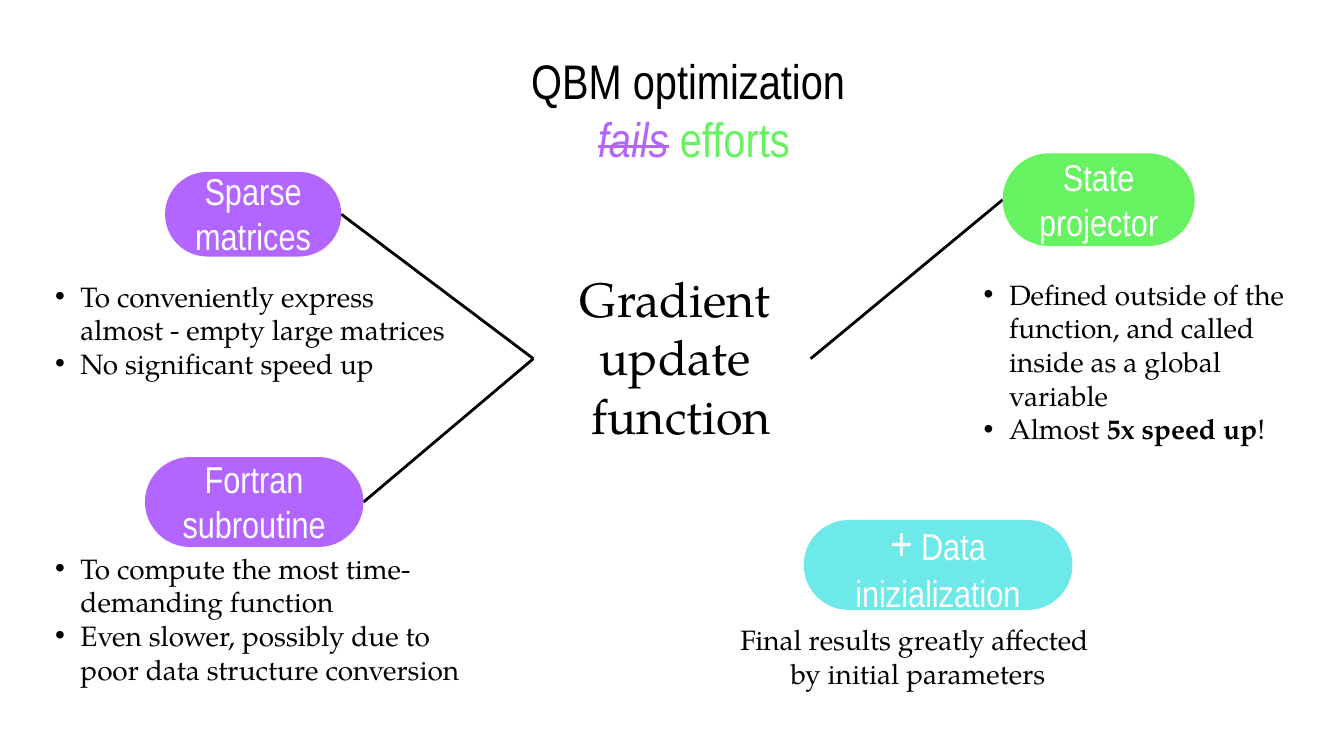
"""Build the mind-map slide on QBM optimization efforts."""
from typing import NamedTuple

from lxml.etree import SubElement as Sub
from pptx import Presentation as Deck
from pptx.dml.color import RGBColor as Rgb
from pptx.enum.shapes import MSO_CONNECTOR as Link, MSO_SHAPE as Kind
from pptx.enum.text import MSO_ANCHOR as Anchor, MSO_AUTO_SIZE as Fit, PP_ALIGN as Align
from pptx.oxml.ns import qn
from pptx.util import Cm, Pt

SERIF, SANS = "TeX Gyre Pagella", "Arial Narrow"
BLACK, WHITE, PURPLE, GREEN, CYAN = "000000", "FFFFFF", "B366FF", "66F261", "6DE9E9"


class Run(NamedTuple):
    words: str
    color: str = ""
    size: int = 0
    bold: bool = False
    slant: bool = False
    strike: bool = False


class Box(NamedTuple):
    left: float
    top: float
    width: float
    height: float

    @property
    def mid(self) -> float:
        return self.top + self.height / 2

    @property
    def right(self) -> float:
        return self.left + self.width


class Pill(NamedTuple):
    box: Box
    fill: str
    paras: list


class Note(NamedTuple):
    box: Box
    paras: list
    dots: bool = True


def tint(part, color: str) -> None:
    part.rgb = Rgb.from_string(color)


def place(shape, box: Box) -> None:
    shape.left, shape.top, shape.width, shape.height = map(Cm, box)


def mark(props, dots: bool) -> None:
    """Set the indent and the bullet of a paragraph."""
    props.set("marL", str(Cm(0.48) if dots else 0))
    props.set("indent", str(Cm(-0.48) if dots else 0))
    if not dots:
        Sub(props, qn("a:buNone"))
        return
    Sub(Sub(props, qn("a:buClr")), qn("a:srgbClr"), val=BLACK)
    Sub(props, qn("a:buFont"), typeface="Arial")
    Sub(props, qn("a:buChar"), char="•")


def write(shape, paras: list, *, font: str, size: int, color: str = BLACK,
          dots: bool = False, foot: float = 0.25) -> None:
    """Fill a shape with paragraphs, each a list of runs."""
    frame = shape.text_frame
    frame.word_wrap, frame.auto_size = True, Fit.NONE
    frame.vertical_anchor = Anchor.MIDDLE
    frame.margin_left = frame.margin_right = frame.margin_top = Cm(0.25)
    frame.margin_bottom = Cm(foot)
    for row, runs in enumerate(paras):
        para = frame.add_paragraph() if row else frame.paragraphs[0]
        para.alignment = Align.LEFT if dots else Align.CENTER
        para.space_before = Pt(0)
        mark(para._p.get_or_add_pPr(), dots)
        for item in runs:
            for turn, words in enumerate(item.words.split("\n")):
                if turn:
                    para.add_line_break()
                if not words:
                    continue
                run = para.add_run()
                run.text = words
                run.font.name, run.font.size = font, Pt(item.size or size)
                run.font.bold, run.font.italic = item.bold, item.slant
                tint(run.font.color, item.color or color)
                if item.strike:
                    run._r.get_or_add_rPr().set("strike", "sngStrike")


def draw_line(slide, start: tuple, end: tuple) -> None:
    line = slide.shapes.add_connector(Link.STRAIGHT, *map(Cm, start + end))
    line.line.width = Pt(1.5)
    tint(line.line.color, BLACK)
    Sub(line._element.spPr, qn("a:effectLst"))


def draw_pill(slide, pill: Pill) -> None:
    shape = slide.shapes.add_shape(Kind.ROUNDED_RECTANGLE, *map(Cm, pill.box))
    shape.adjustments[0] = 0.5
    shape.shadow.inherit = False
    shape.fill.solid()
    tint(shape.fill.fore_color, pill.fill)
    shape.line.fill.background()
    write(shape, pill.paras, font=SANS, size=20, color=WHITE, foot=0.28)


SPARSE = Pill(Box(3.12, 3.25, 3.33, 1.6), PURPLE, [[Run("Sparse matrices")]])
STATE = Pill(Box(18.95, 2.9, 3.63, 1.75), GREEN, [[Run("State projector")]])
FORTRAN = Pill(Box(2.74, 8.64, 4.13, 1.7), PURPLE, [[Run("Fortran")], [Run("subroutine")]])
DATA = Pill(Box(15.19, 9.83, 5.08, 1.7), CYAN,
            [[Run("+", size=25), Run(" Data inizialization")]])

NOTES = [
    Note(Box(0.79, 5.28, 8.18, 1.9), [
        [Run("To conveniently express\nalmost - empty large matrices")],
        [Run("No significant speed up")]]),
    Note(Box(18.34, 5.28, 6.73, 3.1), [
        [Run("Defined outside of the function, and called inside as a global variable")],
        [Run("Almost "), Run("5x speed up", bold=True), Run("!")]]),
    Note(Box(0.79, 10.74, 8.61, 1.9), [
        [Run("To compute the most time-demanding function")],
        [Run("Even slower, possibly due to poor data structure conversion")]]),
    Note(Box(13.26, 11.51, 8.18, 1.8), [
        [Run("Final results greatly affected ")],
        [Run("by initial parameters")]], dots=False),
]

HEAD = [[Run("QBM optimization \n"), Run("fails", PURPLE, slant=True, strike=True),
         Run(" "), Run("efforts", GREEN)]]


def main() -> None:
    deck = Deck()
    deck.slide_width, deck.slide_height = Cm(25.4), Cm(14.29)
    slide = deck.slides.add_slide(deck.slide_layouts.get_by_name("Comparison"))

    hub = slide.shapes.title
    place(hub, Box(8.79, 5.94, 8.18, 1.6))
    write(hub, [[Run("Gradient \nupdate \nfunction")]], font=SERIF, size=26)

    bodies = [hold for hold in slide.placeholders if hold.placeholder_format.idx]
    for body, note in zip(bodies, NOTES):
        place(body, note.box)
        write(body, note.paras, font=SERIF, size=15, dots=note.dots)

    for pill in (SPARSE, FORTRAN):
        draw_line(slide, (10.08, 6.78), (pill.box.right, pill.box.mid))
    draw_line(slide, (15.32, 6.78), (STATE.box.left, STATE.box.mid))
    for pill in (SPARSE, STATE, FORTRAN, DATA):
        draw_pill(slide, pill)

    head = slide.shapes.add_textbox(*map(Cm, Box(5.99, 1.27, 14.25, 1.6)))
    write(head, HEAD, font=SANS, size=26)
    deck.save("out.pptx")


if __name__ == "__main__":
    main()
